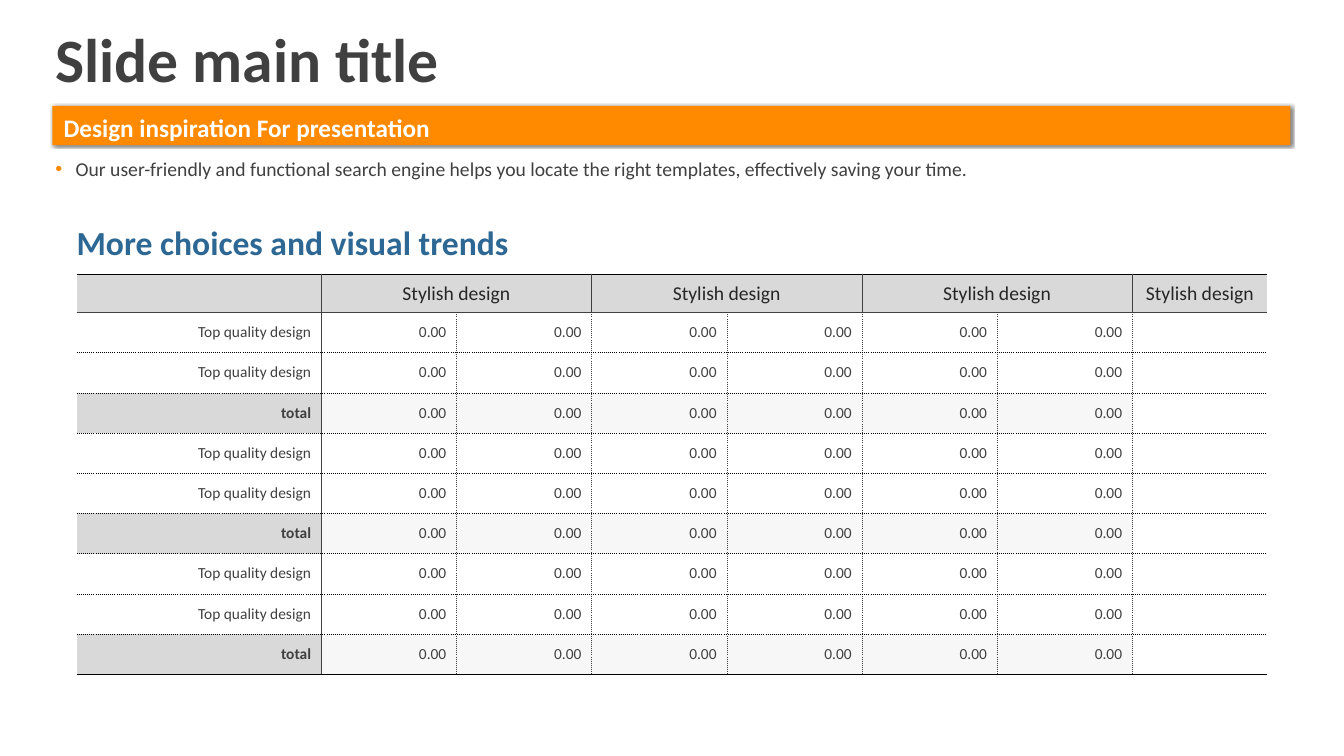
from lxml.etree import SubElement
from pptx import Presentation
from pptx.dml.color import RGBColor
from pptx.enum.shapes import MSO_SHAPE
from pptx.enum.text import MSO_ANCHOR, MSO_AUTO_SIZE, PP_ALIGN
from pptx.oxml.ns import qn
from pptx.util import Inches, Pt

SLIDE_WIDTH, SLIDE_HEIGHT = Inches(13.33), Inches(7.5)
FONT = "Calibri"
ORANGE, BLUE, WHITE, BLACK = "FF8A00", "2D6894", "FFFFFF", "000000"
DARK, HEADER_TEXT, GREY = "404040", "262626", "D9D9D9"

# Left edges and widths, in percent of the slide
TEXT_LEFT, TEXT_WIDTH = 4.13, 91.97
TABLE_LEFT, TABLE_WIDTH = 5.7, 88.6

# Table content and proportions
HEADER = "Stylish design"
HEADER_STARTS = (1, 3, 5, 7)
LABELS = ["Top quality design", "Top quality design", "total"] * 3
VALUE = "0.00"
COLUMN_UNITS = [1.81] + [1] * 7
ROW_UNITS = [0.95] + [1] * len(LABELS)

# Line styles: colour, width in points, dash
THICK = (BLACK, 1, "solid")
THIN = (DARK, 0.25, "solid")
DOTTED_ROW = (BLACK, 0.25, "sysDot")
DOTTED_COLUMN = (DARK, 0.25, "sysDot")


def color(hex_code):
    return RGBColor.from_string(hex_code)


def box(left, top, width, height):
    """Turn percentages of the slide into lengths."""
    return (int(SLIDE_WIDTH * left / 100), int(SLIDE_HEIGHT * top / 100),
            int(SLIDE_WIDTH * width / 100), int(SLIDE_HEIGHT * height / 100))


def add_element(parent, tag, **attributes):
    element = SubElement(parent, qn(tag))
    for name, value in attributes.items():
        element.set(name, str(value))
    return element


def format_runs(paragraph, size, hex_code, bold=False):
    for run in paragraph.runs:
        run.font.name = FONT
        run.font.size = Pt(size)
        run.font.bold = bold
        run.font.color.rgb = color(hex_code)


def fill_text(shape, text, size, hex_code, bold=True, line_spacing=None):
    frame = shape.text_frame
    frame.margin_left = frame.margin_right = 0
    frame.margin_top = frame.margin_bottom = 0
    frame.word_wrap = True
    frame.auto_size = MSO_AUTO_SIZE.SHAPE_TO_FIT_TEXT
    frame.vertical_anchor = MSO_ANCHOR.TOP
    frame.text = text
    paragraph = frame.paragraphs[0]
    paragraph.alignment = PP_ALIGN.LEFT
    if line_spacing:
        paragraph.line_spacing = line_spacing
    format_runs(paragraph, size, hex_code, bold)
    return paragraph


def add_text(slide, position, text, size, hex_code, **options):
    shape = slide.shapes.add_textbox(*box(*position))
    return fill_text(shape, text, size, hex_code, **options)


def add_title(slide, position, text):
    title = slide.shapes.title
    title.left, title.top, title.width, title.height = box(*position)
    fill_text(title, text, 44, DARK, line_spacing=0.8)


def add_bar(slide, position):
    bar = slide.shapes.add_shape(MSO_SHAPE.RECTANGLE, *box(*position))
    bar.fill.solid()
    bar.fill.fore_color.rgb = color(ORANGE)
    bar.line.fill.background()
    bar.shadow.inherit = False
    effects = bar._element.spPr.find(qn("a:effectLst"))
    shadow = add_element(effects, "a:outerShdw", blurRad=Pt(2), dist=Pt(1),
                         dir=45 * 60000, algn="tl", rotWithShape=0)
    shade = add_element(shadow, "a:srgbClr", val=BLACK)
    add_element(shade, "a:alpha", val=50000)


def add_bullet(paragraph, hex_code, indent):
    properties = paragraph._p.get_or_add_pPr()
    properties.set("marL", str(indent))
    properties.set("indent", str(-indent))
    add_element(add_element(properties, "a:buClr"), "a:srgbClr", val=hex_code)
    add_element(properties, "a:buFont", typeface="Arial")
    add_element(properties, "a:buChar", char="•")


def row_line(index):
    if index in (0, len(ROW_UNITS)):
        return THICK
    return THIN if index == 1 else DOTTED_ROW


def column_line(index, row):
    if index in (0, len(COLUMN_UNITS)):
        return None
    if row == 0:
        return THIN if index in HEADER_STARTS else None
    return THIN if index == 1 else DOTTED_COLUMN


def set_borders(cell, row, column):
    properties = cell._tc.get_or_add_tcPr()
    borders = {"a:lnL": column_line(column, row),
               "a:lnR": column_line(column + 1, row),
               "a:lnT": row_line(row),
               "a:lnB": row_line(row + 1)}
    for tag, style in borders.items():
        line = add_element(properties, tag)
        if style is None:
            add_element(line, "a:noFill")
            continue
        hex_code, width, dash = style
        line.set("w", str(Pt(width)))
        add_element(add_element(line, "a:solidFill"), "a:srgbClr", val=hex_code)
        add_element(line, "a:prstDash", val=dash)


def set_fill(cell, row, column):
    is_total = row > 0 and LABELS[row - 1] == "total"
    is_last = column == len(COLUMN_UNITS) - 1
    if row > 0 and (not is_total or is_last):
        cell.fill.background()
        return
    cell.fill.solid()
    cell.fill.fore_color.rgb = color(GREY)
    if is_total and column > 0:
        shade = cell._tc.tcPr.find(qn("a:solidFill"))[0]
        add_element(shade, "a:alpha", val=20000)


def cell_text(row, column):
    if row == 0:
        return HEADER if column in HEADER_STARTS else ""
    if column == 0:
        return LABELS[row - 1]
    return VALUE if column < len(COLUMN_UNITS) - 1 else ""


def set_text(cell, row, column):
    size, hex_code = (14, HEADER_TEXT) if row == 0 else (11, DARK)
    text = cell_text(row, column)
    cell.vertical_anchor = MSO_ANCHOR.MIDDLE
    paragraph = cell.text_frame.paragraphs[0]
    paragraph.alignment = PP_ALIGN.CENTER if row == 0 else PP_ALIGN.RIGHT
    if text:
        paragraph.text = text
        format_runs(paragraph, size, hex_code, bold=text == "total")
    else:
        add_element(paragraph._p, "a:endParaRPr", sz=size * 100)


def add_data_table(slide, position):
    frame = slide.shapes.add_table(len(ROW_UNITS), len(COLUMN_UNITS), *box(*position))
    table = frame.table
    table.first_row = table.horz_banding = False
    width, height = frame.width, frame.height
    for column, units in zip(table.columns, COLUMN_UNITS):
        column.width = int(width * units / sum(COLUMN_UNITS))
    for row, units in zip(table.rows, ROW_UNITS):
        row.height = int(height * units / sum(ROW_UNITS))
    for row in range(len(ROW_UNITS)):
        for column in range(len(COLUMN_UNITS)):
            cell = table.cell(row, column)
            set_borders(cell, row, column)
            set_fill(cell, row, column)
            set_text(cell, row, column)
    for start in HEADER_STARTS[:-1]:
        table.cell(0, start).merge(table.cell(0, start + 1))


def main():
    presentation = Presentation()
    presentation.slide_width, presentation.slide_height = SLIDE_WIDTH, SLIDE_HEIGHT
    slide = presentation.slides.add_slide(presentation.slide_layouts[5])

    # Title, bar and introduction
    add_title(slide, (TEXT_LEFT, 4.67, TEXT_WIDTH, 8.13), "Slide main title")
    add_bar(slide, (3.9, 14, 92.12, 5.2))
    add_text(slide, (4.73, 14.8, 87.7, 4), "Design inspiration For presentation", 18, WHITE)
    introduction = add_text(
        slide, (TEXT_LEFT, 20.8, TEXT_WIDTH, 3.2),
        "Our user-friendly and functional search engine helps you locate "
        "the right templates, effectively saving your time.", 14, DARK, bold=False)
    add_bullet(introduction, ORANGE, Inches(0.2))

    # Table with its heading
    add_data_table(slide, (TABLE_LEFT, 36.27, TABLE_WIDTH, 52.93))
    add_text(slide, (TABLE_LEFT, 30, TABLE_WIDTH / 2, 4.8),
             "More choices and visual trends", 24, BLUE, line_spacing=0.9)

    presentation.save("out.pptx")


if __name__ == "__main__":
    main()
